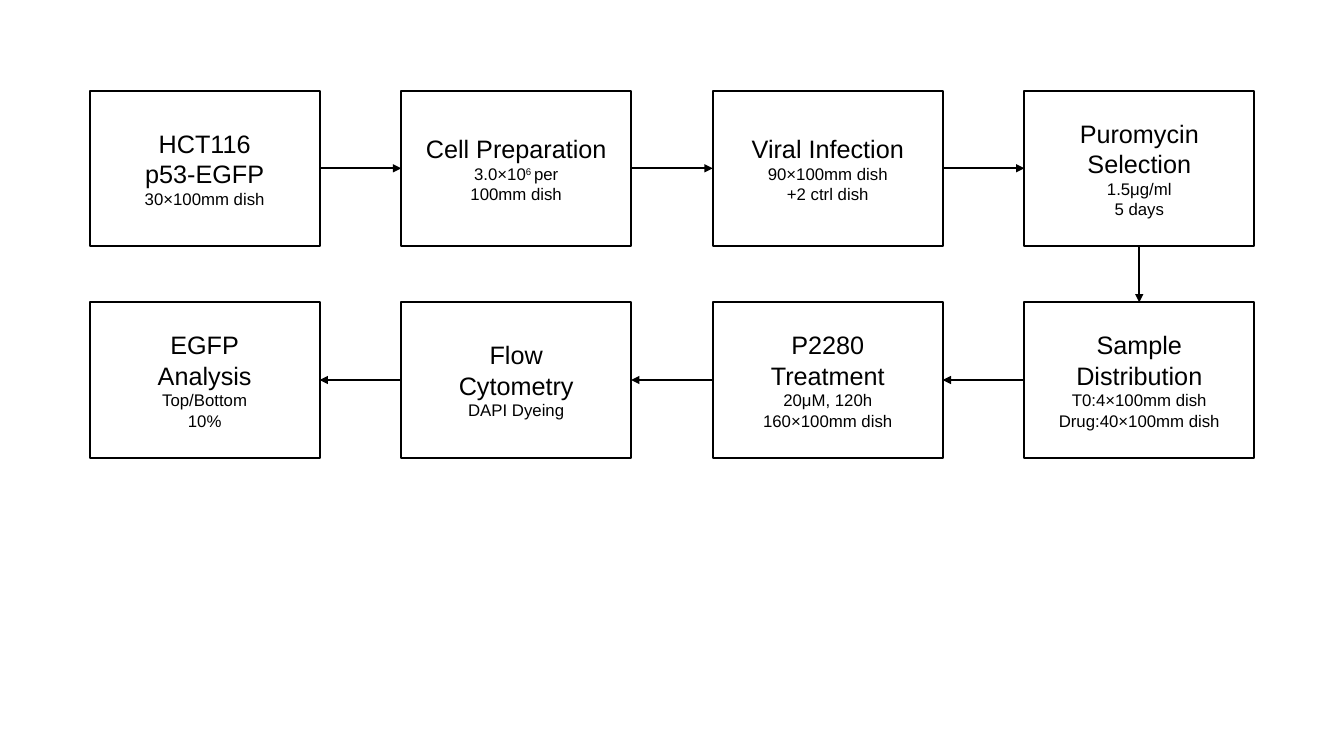
import itertools

import pptx
import pptx.dml.color
import pptx.enum.shapes
import pptx.enum.text
import pptx.oxml
import pptx.oxml.ns
import pptx.util
from pptx.util import Inches

TOP, LEFT, BOTTOM, RIGHT = range(4)
COLUMNS = 4
STEPS = [
    (["HCT116", "p53-EGFP"], ["30×100mm dish"]),
    (["Cell Preparation"], ["3.0×10^6 ^per", "100mm dish"]),
    (["Viral Infection"], ["90×100mm dish", "+2 ctrl dish"]),
    (["Puromycin", "Selection"], ["1.5μg/ml", "5 days"]),
    (["Sample", "Distribution"], ["T0:4×100mm dish", "Drug:40×100mm dish"]),
    (["P2280", "Treatment"], ["20μM, 120h", "160×100mm dish"]),
    (["Flow", "Cytometry"], ["DAPI Dyeing"]),
    (["EGFP", "Analysis"], ["Top/Bottom", "10%"]),
]


def color(value):
    return pptx.dml.color.RGBColor.from_string(value)


def write(para, text, size=12, font="Arial", ink="000000"):
    para.alignment = pptx.enum.text.PP_ALIGN.CENTER
    for index, part in enumerate(text.split("^")):
        span = para.add_run()
        span.text = part
        span.font.name = font
        span.font.size = pptx.util.Pt(size)
        span.font.color.rgb = color(ink)
        if index % 2:
            span.font._element.set("baseline", "30000")


class Flowchart:
    ink = "000000"
    line_width = 1.5
    title_size = 18
    detail_size = 12

    def __init__(self, page):
        self.page = page

    def outline(self, line):
        line.color.rgb = color(self.ink)
        line.width = pptx.util.Pt(self.line_width)

    def step(self, left, top, titles, details):
        box = self.page.shapes.add_shape(
            pptx.enum.shapes.MSO_SHAPE.RECTANGLE,
            Inches(left), Inches(top), Inches(2.28), Inches(1.54))
        box.shadow.inherit = False
        box.fill.background()
        self.outline(box.line)
        frame = box.text_frame
        frame.word_wrap = True
        frame.vertical_anchor = pptx.enum.text.MSO_ANCHOR.MIDDLE
        lines = [(text, self.title_size) for text in titles]
        lines += [(text, self.detail_size) for text in details]
        for index, (text, size) in enumerate(lines):
            para = frame.add_paragraph() if index else frame.paragraphs[0]
            write(para, text, size=size, ink=self.ink)
        return box

    def arrow(self, source, source_side, target, target_side):
        connector = self.page.shapes.add_connector(
            pptx.enum.shapes.MSO_CONNECTOR.STRAIGHT, 0, 0, 0, 0)
        connector.begin_connect(source, source_side)
        connector.end_connect(target, target_side)
        self.outline(connector.line)
        head = pptx.oxml.parse_xml(
            f'<a:tailEnd {pptx.oxml.ns.nsdecls("a")} type="triangle"/>')
        connector.line._get_or_add_ln().append(head)
        effects = pptx.oxml.parse_xml(
            f'<a:effectLst {pptx.oxml.ns.nsdecls("a")}/>')
        connector._element.spPr.append(effects)


def main():
    deck = pptx.Presentation()
    deck.slide_width = Inches(13.33)
    deck.slide_height = Inches(7.5)
    page = deck.slides.add_slide(deck.slide_layouts[6])
    chart = Flowchart(page)

    boxes = []
    for index, (titles, details) in enumerate(STEPS):
        row, column = divmod(index, COLUMNS)
        if row:
            column = COLUMNS - 1 - column
        boxes.append(chart.step(0.89 + 3.09 * column, 0.9 + 2.1 * row, titles, details))

    for source, target in itertools.pairwise(boxes):
        if source.left == target.left:
            sides = BOTTOM, TOP
        elif source.left < target.left:
            sides = RIGHT, LEFT
        else:
            sides = LEFT, RIGHT
        chart.arrow(source, sides[0], target, sides[1])

    deck.save("out.pptx")


if __name__ == "__main__":
    main()
